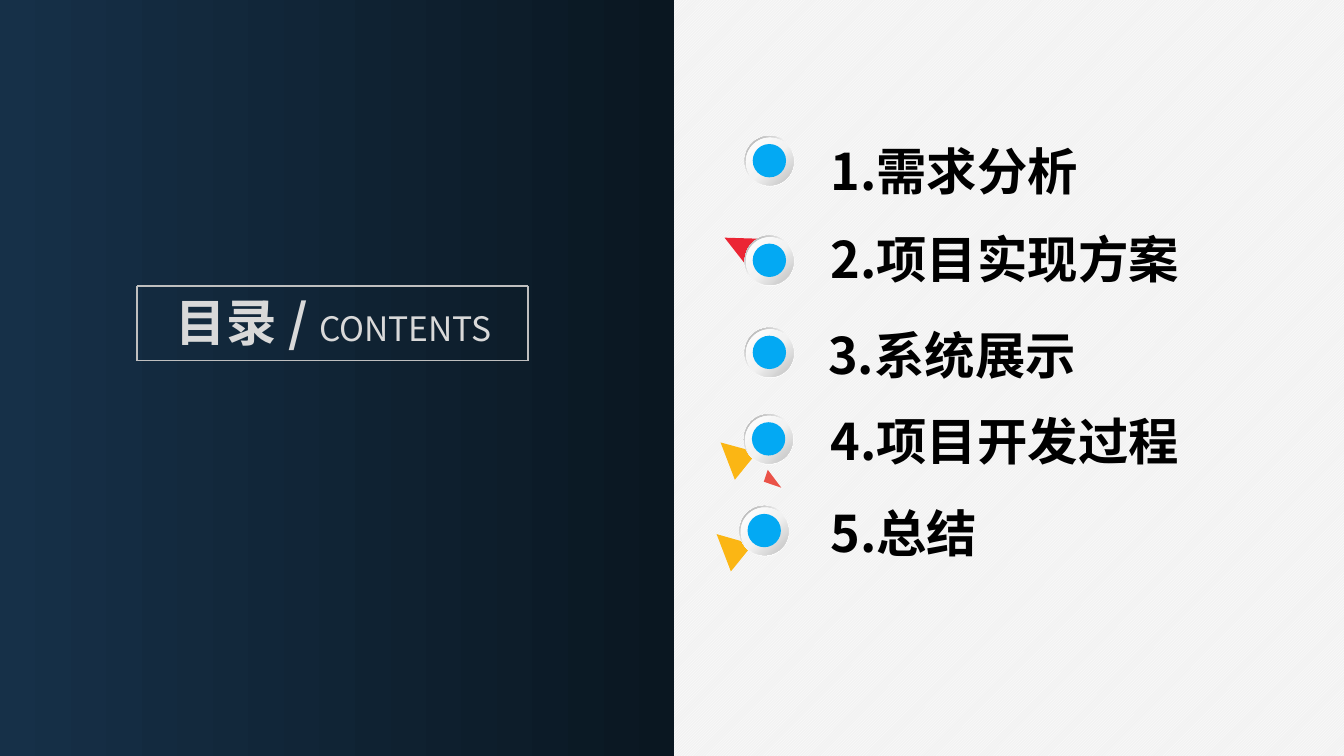
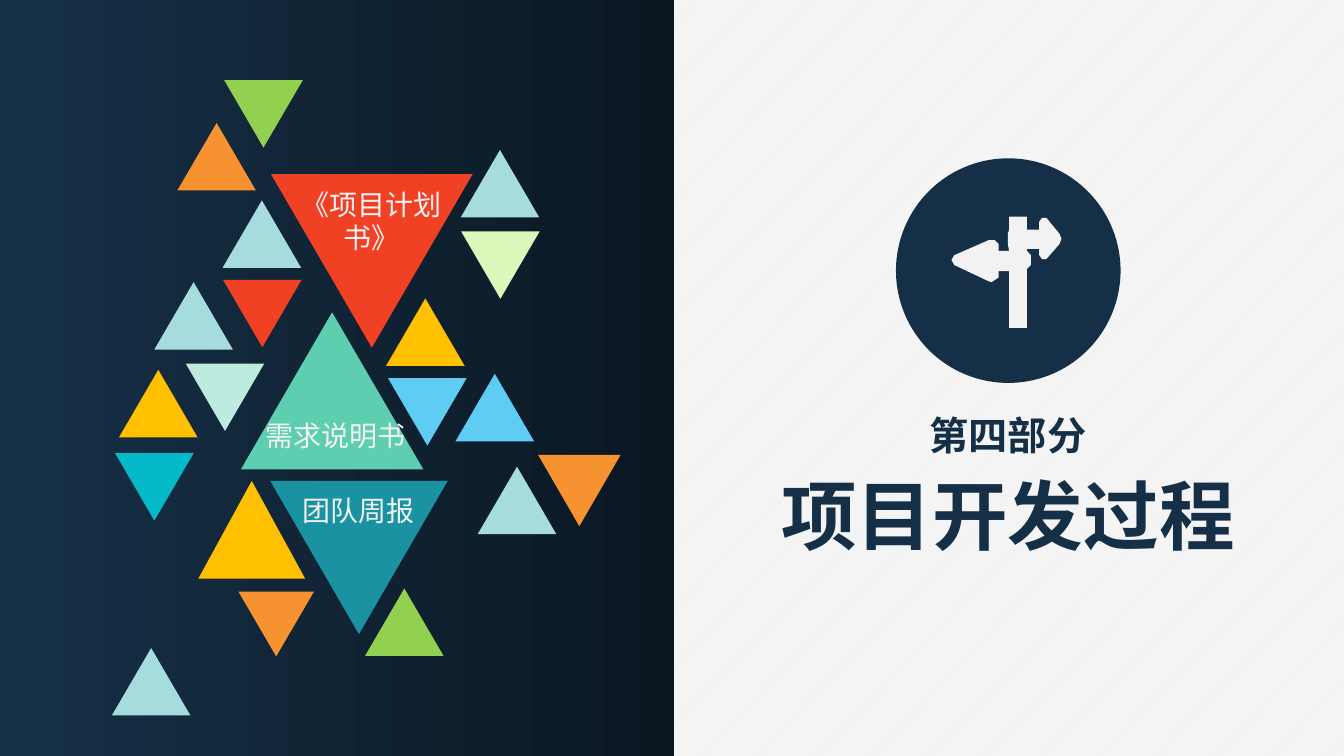
from copy import deepcopy

from lxml.etree import SubElement
from pptx import Presentation
from pptx.dml.color import RGBColor
from pptx.enum.dml import MSO_PATTERN
from pptx.enum.shapes import MSO_CONNECTOR, MSO_SHAPE
from pptx.enum.text import MSO_ANCHOR, PP_ALIGN
from pptx.oxml.ns import qn
from pptx.util import Cm, Pt

FONT = "Noto Sans CJK SC"
COLORS = {
    "white": "FFFFFF", "paper": "F2F2F2", "ink": "000000",
    "navy": "152F47", "panel_start": "163048", "panel_end": "0A1721",
    "heading": "D9D9D9", "frame": "BFBFBF", "shade": "A6A6A6",
    "dot": "03A9F3", "crimson": "EB2534", "amber": "FBB614", "coral": "EA5248",
    "pale": "A7DCDE", "ice": "BEEBDF", "mint": "5DCEAF", "teal": "1A92A2",
    "sky": "5ECCF3", "orange": "F69230", "green": "92D050", "lime": "DCF7BA",
    "cyan": "05BAC8", "yellow": "FFC000", "red": "F14124",
}
SMALL = (1.98, 1.7)

AGENDA = [
    ("需求分析", 20.68, 3.4, 18.77, 3.43),
    ("项目实现方案", 20.68, 5.61, 18.77, 5.94),
    ("系统展示", 20.62, 8.03, 18.77, 8.26),
    ("项目开发过程", 20.68, 10.19, 18.75, 10.44),
    ("总结", 20.68, 12.52, 18.64, 12.75),
]
SHARDS = [
    ("crimson", [(18.26, 5.99), (19.25, 6.02), (19.1, 7.06)]),
    ("amber", [(18.16, 11.15), (19.08, 11.4), (18.52, 12.09)]),
    ("coral", [(19.35, 11.84), (19.69, 12.29), (19.25, 12.14)]),
    ("amber", [(18.06, 13.46), (18.97, 13.72), (18.42, 14.4)]),
]
UP_TRIANGLES = [
    ("pale", 3.89, 7.11, *SMALL), ("pale", 11.61, 3.78, *SMALL),
    ("pale", 2.82, 16.33, *SMALL), ("pale", 5.61, 5.05, *SMALL),
    ("pale", 12.04, 11.76, *SMALL), ("sky", 11.48, 9.42, *SMALL),
    ("orange", 4.47, 3.1, *SMALL), ("yellow", 9.73, 7.52, *SMALL),
    ("yellow", 3, 9.32, *SMALL), ("green", 9.2, 14.83, *SMALL),
    ("mint", 6.07, 7.87, 4.6, 3.96), ("yellow", 5, 12.12, 2.69, 2.46),
]
DOWN_TRIANGLES = [
    ("ice", 4.68, 9.16, *SMALL), ("green", 5.65, 2.02, *SMALL),
    ("lime", 11.62, 5.83, *SMALL), ("cyan", 2.9, 11.42, *SMALL),
    ("red", 5.62, 7.05, *SMALL), ("sky", 9.78, 9.53, *SMALL),
    ("orange", 6.01, 14.91, 1.9, 1.63), ("orange", 13.56, 11.46, 2.08, 1.8),
    ("teal", 6.81, 12.12, 4.47, 3.86), ("red", 6.83, 4.39, 5.08, 4.37),
]
SIGNPOST = [
    (26.7, 5.89), (26.37, 5.49), (26.26, 5.49), (26.19, 5.59), (26.19, 5.79),
    (25.88, 5.79), (25.88, 5.46), (25.43, 5.46), (25.43, 5.79), (25.4, 5.89),
    (25.4, 6.15), (25.43, 6.32), (25.17, 6.32), (25.17, 6.15), (25.07, 6.05),
    (24.92, 6.05), (24.05, 6.43), (23.98, 6.55), (24.05, 6.68), (24.92, 7.09),
    (24.99, 7.11), (25.17, 6.99), (25.17, 6.83), (25.43, 6.83), (25.43, 8.26),
    (25.88, 8.26), (25.88, 6.78), (25.98, 6.68), (25.98, 6.43), (25.88, 6.32),
    (25.88, 6.27), (26.19, 6.27), (26.19, 6.43), (26.26, 6.53), (26.37, 6.53),
    (26.7, 6.15), (26.75, 6.02),
]


def color(name):
    return RGBColor.from_string(COLORS[name])


def add_span(para, text, *, size, tint, bold=False):
    span = para.add_run()
    span.text = text
    span.font.size = Pt(size)
    span.font.bold = bold
    span.font.color.rgb = color(tint)
    span.font.name = FONT
    SubElement(span.font._element, qn("a:ea")).set("typeface", FONT)


class SplitDeck:
    def __init__(self):
        self.deck = Presentation()
        self.deck.slide_width = Cm(33.87)
        self.deck.slide_height = Cm(19.05)
        self.page = None

    def add_page(self):
        self.page = self.deck.slides.add_slide(self.deck.slide_layouts[6])
        fill = self.page.background.fill
        fill.patterned()
        fill.pattern = MSO_PATTERN.LIGHT_UPWARD_DIAGONAL
        fill.fore_color.rgb = color("white")
        fill.back_color.rgb = color("paper")
        panel = self.shape(MSO_SHAPE.RECTANGLE, 0, 0, 17, 19.05)
        self.gradient(panel, 0, [(0, "panel_start"), (1, "panel_end")])

    def finish(self, shape, tint):
        shape.shadow.inherit = False
        shape.line.fill.background()
        if tint:
            shape.fill.solid()
            shape.fill.fore_color.rgb = color(tint)
        return shape

    def shape(self, kind, left, top, width, height, tint=None):
        shape = self.page.shapes.add_shape(
            kind, Cm(left), Cm(top), Cm(width), Cm(height))
        return self.finish(shape, tint)

    def gradient(self, shape, angle, stops):
        shape.fill.gradient()
        shape.fill.gradient_angle = angle
        stop_list = shape._element.spPr.find(".//" + qn("a:gsLst"))
        while len(stop_list) < len(stops):
            stop_list.append(deepcopy(stop_list[0]))
        for stop, (position, tint) in zip(shape.fill.gradient_stops, stops):
            stop.position = position
            stop.color.rgb = color(tint)

    def outline(self, points, tint):
        start, *rest = [(round(x * 100), round(y * 100)) for x, y in points]
        builder = self.page.shapes.build_freeform(*start, scale=Cm(0.01))
        builder.add_line_segments(rest, close=True)
        self.finish(builder.convert_to_shape(), tint)

    def triangle(self, tint, left, top, width, height, rotation=0):
        shape = self.shape(
            MSO_SHAPE.ISOSCELES_TRIANGLE, left, top, width, height, tint)
        shape.rotation = rotation

    def frame(self, left, top, right, bottom):
        corners = [(left, top), (right, top), (right, bottom), (left, bottom)]
        for start, end in zip(corners, corners[1:] + corners[:1]):
            line = self.page.shapes.add_connector(
                MSO_CONNECTOR.STRAIGHT, *map(Cm, start + end))
            line.line.color.rgb = color("frame")
            line.line.width = Pt(1)
            SubElement(line._element.spPr, qn("a:effectLst"))

    def badge(self, left, top):
        ring = self.shape(MSO_SHAPE.DONUT, left, top, 1.25, 1.27)
        ring.adjustments[0] = 0.05
        self.gradient(ring, 135, [(0, "white"), (0.55, "paper"), (1, "shade")])
        button = self.shape(MSO_SHAPE.OVAL, left + 0.03, top + 0.04, 1.2, 1.2)
        self.gradient(button, 315, [(0, "white"), (0.51, "paper"), (1, "frame")])
        self.shape(MSO_SHAPE.OVAL, left + 0.2, top + 0.2, 0.84, 0.84, "dot")

    def text(self, text, left, top, width, height, *, align=PP_ALIGN.LEFT,
             spacing=None, **style):
        box = self.page.shapes.add_textbox(
            Cm(left), Cm(top), Cm(width), Cm(height))
        box.text_frame.word_wrap = True
        box.text_frame.vertical_anchor = MSO_ANCHOR.MIDDLE
        para = box.text_frame.paragraphs[0]
        para.alignment = align
        if spacing:
            para.line_spacing = Pt(spacing)
        add_span(para, text, **style)
        return para


def build_contents(deck):
    deck.add_page()
    heading = deck.text("目录 / ", 3.81, 7.21, 9.2, 1.8, align=PP_ALIGN.CENTER,
                        size=36, tint="heading", bold=True)
    add_span(heading, "CONTENTS", size=24, tint="heading")
    deck.frame(3.45, 7.21, 13.31, 9.09)
    for tint, points in SHARDS:
        deck.outline(points, tint)
    for number, (title, left, top, *badge_corner) in enumerate(AGENDA, 1):
        deck.badge(*badge_corner)
        deck.text(f"{number}.{title}", left, top, 12.5, 1.8,
                  size=36, tint="ink", bold=True)


def build_section(deck):
    deck.add_page()
    title_style = {"align": PP_ALIGN.CENTER, "tint": "navy", "bold": True}
    deck.text("第四部分", 18.9, 10.24, 13, 1.45, size=28, **title_style)
    deck.text("项目开发过程", 18.9, 11.68, 13, 2.57, size=54, **title_style)
    deck.shape(MSO_SHAPE.OVAL, 22.58, 3.99, 5.66, 5.66, "navy")
    deck.outline(SIGNPOST, "paper")
    for triangle in UP_TRIANGLES:
        deck.triangle(*triangle)
    for triangle in DOWN_TRIANGLES:
        deck.triangle(*triangle, rotation=180)
    label_style = {"size": 20, "tint": "paper"}
    deck.text("《项目计划书》", 6.77, 4.55, 5.2, 2.03,
              align=PP_ALIGN.CENTER, spacing=24, **label_style)
    deck.text("需求说明书", 6.45, 10.41, 4.5, 1.12, **label_style)
    deck.text("团队周报", 7.37, 12.29, 4.5, 1.12, **label_style)


def main():
    deck = SplitDeck()
    build_contents(deck)
    build_section(deck)
    deck.deck.save("out.pptx")


if __name__ == "__main__":
    main()
